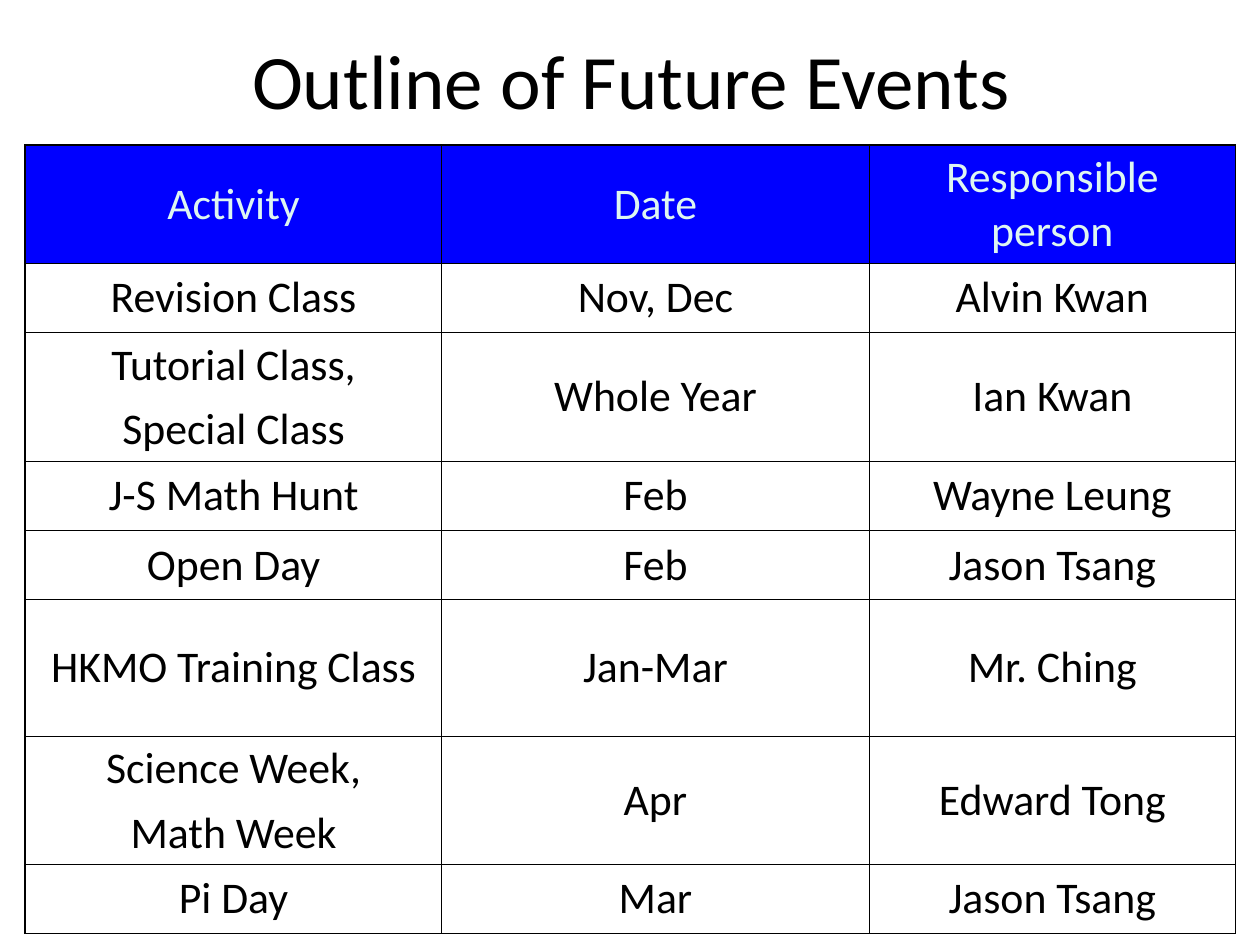
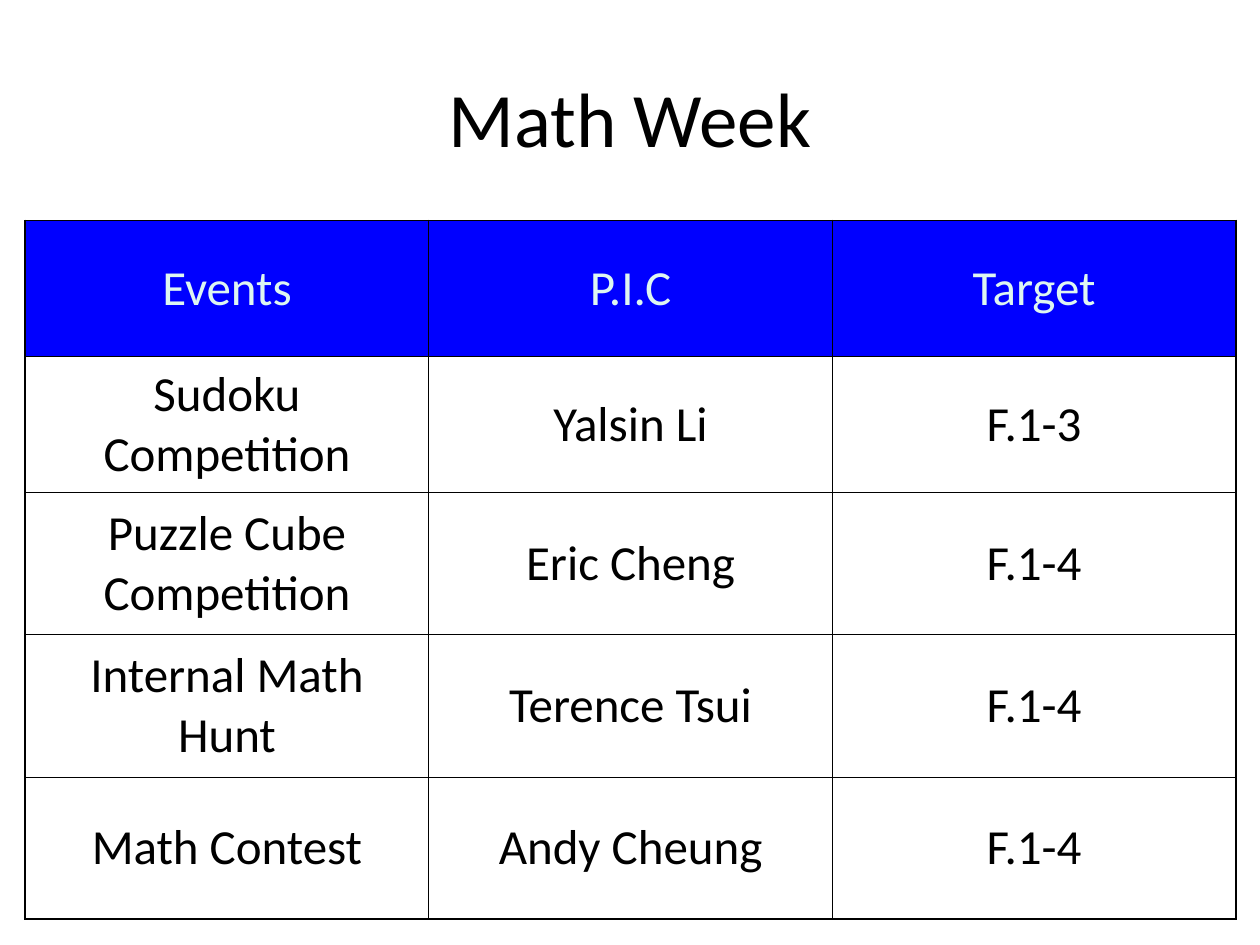
from dataclasses import dataclass

from lxml import etree
from pptx import Presentation
from pptx.dml.color import RGBColor
from pptx.enum.text import MSO_ANCHOR, PP_ALIGN
from pptx.oxml.ns import qn
from pptx.slide import Slide
from pptx.table import _Cell
from pptx.text.text import TextFrame
from pptx.util import Pt

CENTER = PP_ALIGN.CENTER
MIDDLE = MSO_ANCHOR.MIDDLE


@dataclass(frozen=True)
class Theme:
    font: str = "Calibri"
    ink: str = "000000"
    paper: str = "FFFFFF"
    header_fill: str = "0000FF"
    header_ink: str = "DEF6F1"
    title_size: float = 44
    thin: float = 0.45
    thick: float = 1.08


@dataclass(frozen=True)
class TableSlide:
    title: str
    title_left: float
    title_top: float
    table_top: float
    text_size: float
    header_rule: float
    bottom_rule: float
    widths: list[float]
    heights: list[float]
    rows: list[list[str]]


THEME = Theme()
TABLE_LEFT = 14.4
TITLE_WIDTH, TITLE_HEIGHT = 648, 90
SHORT, DOUBLE, TALL = 39.6, 73.4, 77.8

EVENTS = TableSlide(
    title="Outline of Future Events",
    title_left=36.7, title_top=0, table_top=82.8, text_size=25,
    header_rule=THEME.thick, bottom_rule=THEME.thin,
    widths=[238.1, 244.1, 209.5],
    heights=[67.7, SHORT, DOUBLE, SHORT, SHORT, TALL, DOUBLE, SHORT],
    rows=[
        ["Activity", "Date", "Responsible person"],
        ["Revision Class", "Nov, Dec", "Alvin Kwan"],
        ["Tutorial Class,\nSpecial Class", "Whole Year", "Ian Kwan"],
        ["J-S Math Hunt", "Feb", "Wayne Leung"],
        ["Open Day", "Feb", "Jason Tsang"],
        ["HKMO Training Class", "Jan-Mar", "Mr. Ching"],
        ["Science Week,\nMath Week", "Apr", "Edward Tong"],
        ["Pi Day", "Mar", "Jason Tsang"],
    ],
)

MATH_WEEK = TableSlide(
    title="Math Week",
    title_left=36, title_top=21.6, table_top=126, text_size=28,
    header_rule=THEME.thin, bottom_rule=THEME.thick,
    widths=[230.6] * 3,
    heights=[TALL] * 2 + [81.2] * 3,
    rows=[
        ["Events", "P.I.C", "Target"],
        ["Sudoku Competition", "Yalsin Li", "F.1-3"],
        ["Puzzle Cube Competition", "Eric Cheng", "F.1-4"],
        ["Internal Math Hunt", "Terence Tsui", "F.1-4"],
        ["Math Contest", "Andy Cheung", "F.1-4"],
    ],
)


def write(tf: TextFrame, text: str, *, size: float, color: str = THEME.ink,
          gap: float = 0) -> None:
    """Fill tf with centred paragraphs, one per line, gap points apart."""
    tf.word_wrap = True
    for i, line in enumerate(text.split("\n")):
        p = tf.add_paragraph() if i else tf.paragraphs[0]
        p.alignment = CENTER
        if i:
            p.space_before = Pt(gap)
        r = p.add_run()
        r.text = line
        r.font.name = THEME.font
        r.font.size = Pt(size)
        r.font.color.rgb = RGBColor.from_string(color)


def set_borders(cell: _Cell, **widths: float) -> None:
    """Draw the cell's sides, given as L, R, T and B in that order."""
    tc_pr = cell._tc.get_or_add_tcPr()
    for side, width in widths.items():
        ln = etree.SubElement(tc_pr, qn(f"a:ln{side}"), w=str(Pt(width)))
        fill = etree.SubElement(ln, qn("a:solidFill"))
        etree.SubElement(fill, qn("a:srgbClr"), val=THEME.ink)


def add_title(s: Slide, content: TableSlide) -> None:
    box = s.shapes.add_textbox(Pt(content.title_left), Pt(content.title_top),
                               Pt(TITLE_WIDTH), Pt(TITLE_HEIGHT))
    box.text_frame.vertical_anchor = MIDDLE
    write(box.text_frame, content.title, size=THEME.title_size)


def add_grid(s: Slide, content: TableSlide) -> None:
    n_rows, n_cols = len(content.rows), len(content.widths)
    table = s.shapes.add_table(
        n_rows, n_cols, Pt(TABLE_LEFT), Pt(content.table_top),
        Pt(sum(content.widths)), Pt(sum(content.heights))).table
    table.first_row = table.horz_banding = False
    for column, width in zip(table.columns, content.widths):
        column.width = Pt(width)
    for row, height in zip(table.rows, content.heights):
        row.height = Pt(height)

    inner_rules = [THEME.thin] * (n_rows - 2)
    h_rules = [THEME.thick, content.header_rule, *inner_rules, content.bottom_rule]
    v_rules = [THEME.thick, *[THEME.thin] * (n_cols - 1), THEME.thick]
    for i, texts in enumerate(content.rows):
        for j, text in enumerate(texts):
            cell = table.cell(i, j)
            set_borders(cell, L=v_rules[j], R=v_rules[j + 1],
                        T=h_rules[i], B=h_rules[i + 1])
            cell.fill.solid()
            cell.fill.fore_color.rgb = RGBColor.from_string(
                THEME.paper if i else THEME.header_fill)
            cell.vertical_anchor = MIDDLE
            write(cell.text_frame, text, size=content.text_size,
                  color=THEME.ink if i else THEME.header_ink,
                  gap=content.text_size / 4)


def main() -> None:
    prs = Presentation()
    prs.slide_width, prs.slide_height = Pt(720), Pt(540)
    blank = prs.slide_layouts[6]
    for content in (EVENTS, MATH_WEEK):
        s = prs.slides.add_slide(blank)
        add_title(s, content)
        add_grid(s, content)
    prs.save("out.pptx")


if __name__ == "__main__":
    main()
